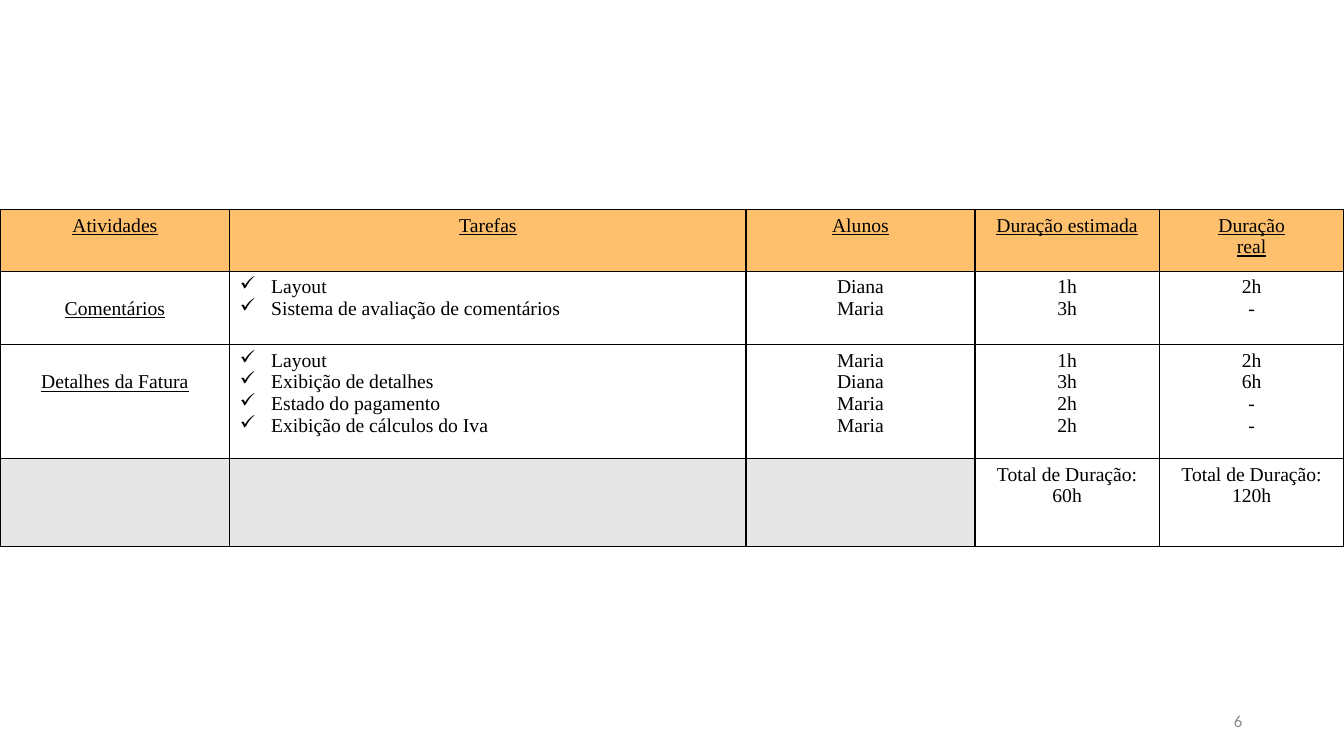
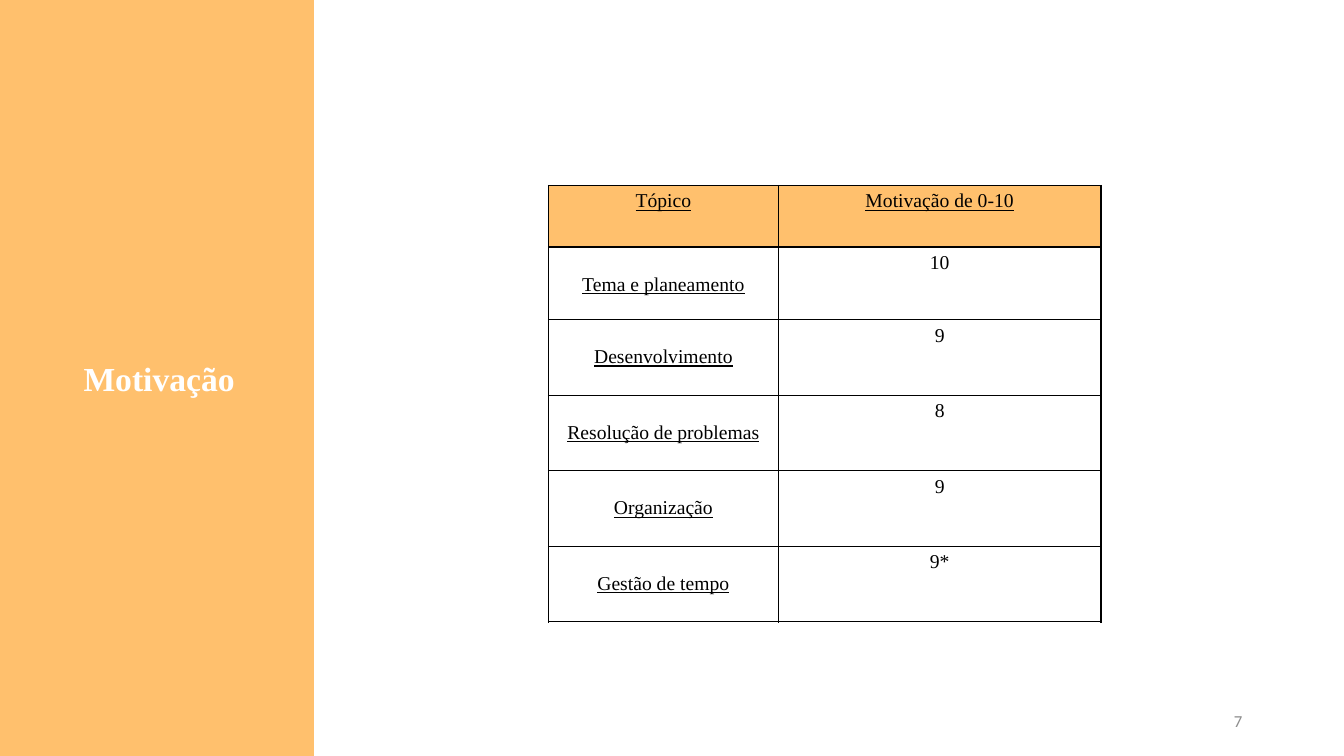
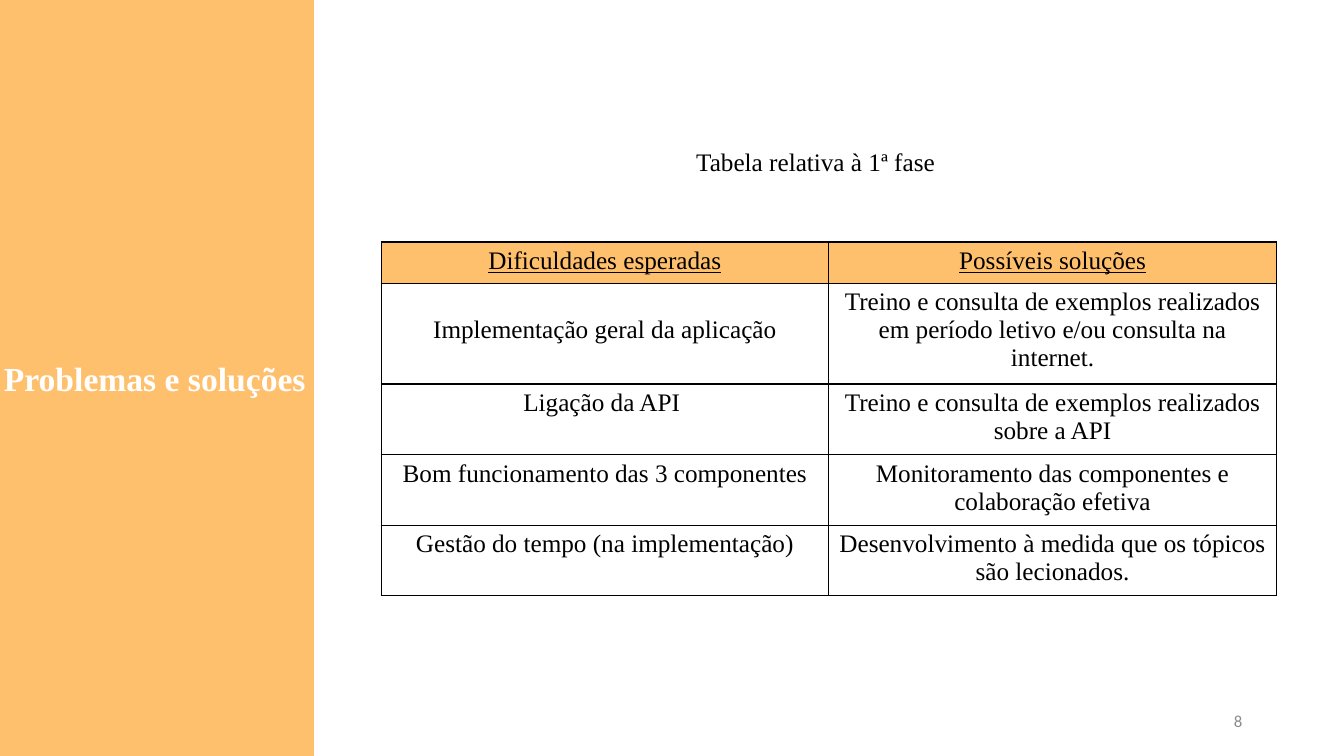
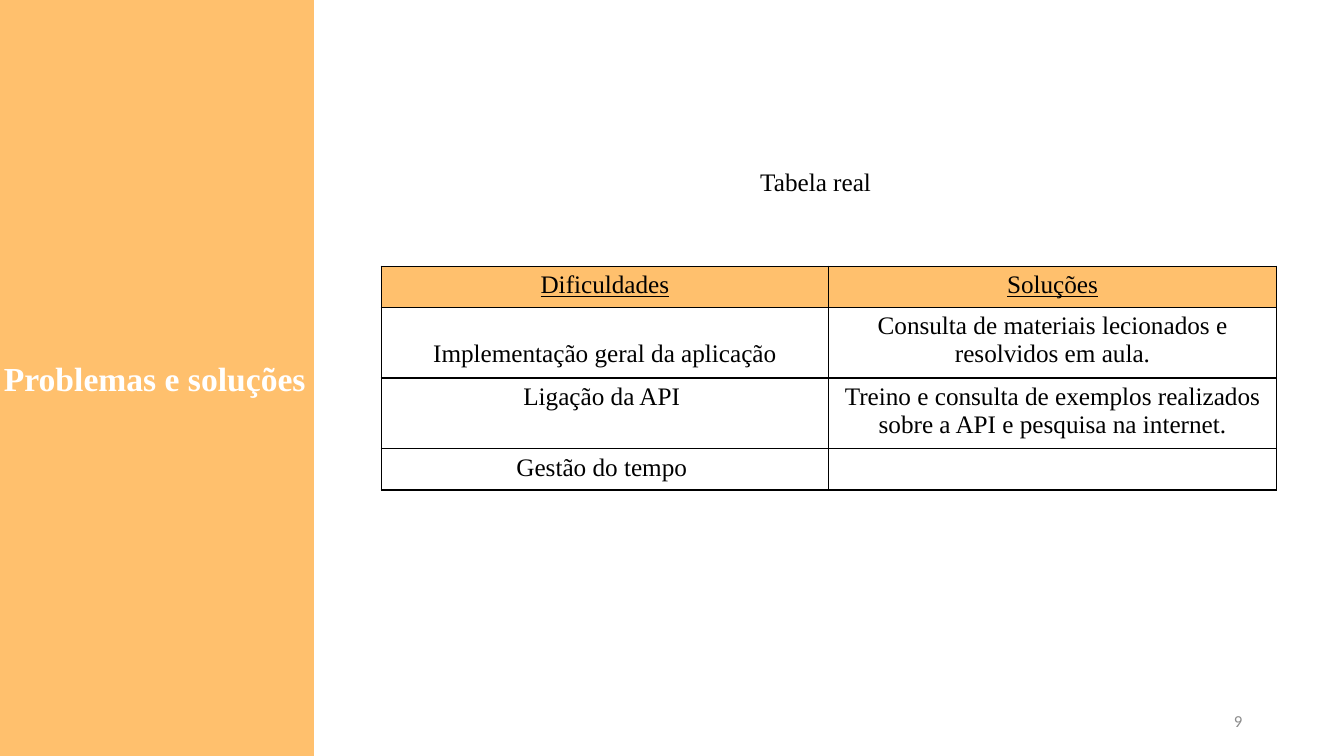
"""Builds four project slides on task planning, motivation, problems and solutions."""
from dataclasses import dataclass
from functools import partial

from lxml.etree import SubElement
from pptx import Presentation
from pptx.dml.color import RGBColor
from pptx.enum.shapes import MSO_SHAPE as Shape
from pptx.enum.text import MSO_ANCHOR as Anchor, MSO_AUTO_SIZE as AutoSize, PP_ALIGN as Align
from pptx.oxml.ns import qn
from pptx.util import Inches, Pt


@dataclass(frozen=True)
class Theme:
    accent: str = "FFC06D"
    ink: str = "000000"
    paper: str = "FFFFFF"
    unused: str = "E7E6E6"
    muted: str = "8C8C8C"
    serif: str = "Times New Roman"
    sans: str = "Calibri"
    title_size: int = 24
    large_size: int = 18
    table_size: int = 14
    number_size: int = 12
    line_height: float = 1.11
    border: int = 1
    cell_margin: float = 0.05
    bullet_indent: float = 0.31


@dataclass(frozen=True)
class Cell:
    text: str = ""
    fill: str = Theme.paper
    underline: bool = False
    lowered: bool = False
    bullet: str = ""


Header = partial(Cell, fill=Theme.accent, underline=True)
Topic = partial(Cell, underline=True, lowered=True)
Lowered = partial(Cell, lowered=True)
Tasks = partial(Cell, bullet="✓")
Unused = partial(Cell, fill=Theme.unused)


def set_all(target, values):
    for name, value in values.items():
        setattr(target, name, value)


class Deck:
    def __init__(self, theme, first_number):
        self.theme = theme
        self.number = first_number
        self.slide = None
        self.presentation = Presentation()
        set_all(self.presentation, {"slide_width": Inches(13.33), "slide_height": Inches(7.5)})

    def new_slide(self):
        self.slide = self.presentation.slides.add_slide(self.presentation.slide_layouts[6])
        self.text(str(self.number), (9.42, 6.95, 3, 0.4), self.theme.number_size,
                  frame={"vertical_anchor": Anchor.MIDDLE}, align=Align.RIGHT,
                  color=self.theme.muted, font=self.theme.sans)
        self.number += 1

    def style(self, font, size, color=None, name=None, **extra):
        set_all(font, {"size": Pt(size), "name": name or self.theme.serif, **extra})
        font.color.rgb = RGBColor.from_string(color or self.theme.ink)

    def text(self, words, place, size, frame, align=Align.LEFT, color=None, font=None, bold=False):
        box = self.slide.shapes.add_textbox(*map(Inches, place)).text_frame
        set_all(box, {"word_wrap": True, **frame})
        paragraph = box.paragraphs[0]
        paragraph.alignment = align
        run = paragraph.add_run()
        run.text = words
        self.style(run.font, size, color, font, bold=bold)

    def side_title(self, words, left, width):
        band = self.slide.shapes.add_shape(Shape.RECTANGLE, 0, 0, Inches(3.11), Inches(7.5))
        band.shadow.inherit = False
        band.line.width = Pt(1)
        for paint in (band.fill, band.line.fill):
            paint.solid()
            paint.fore_color.rgb = RGBColor.from_string(self.theme.accent)
        self.text(words, (left, 3.5, width, 0.5), self.theme.title_size,
                  frame={"word_wrap": False, "auto_size": AutoSize.SHAPE_TO_FIT_TEXT},
                  color=self.theme.paper, bold=True)

    def caption(self, words, top):
        self.text(words, (4.58, top, 7.02, 0.4), self.theme.large_size,
                  frame={"auto_size": AutoSize.SHAPE_TO_FIT_TEXT}, align=Align.CENTER)

    def table(self, left, top, widths, heights, rows, size):
        place = map(Inches, (left, top, sum(widths), sum(heights)))
        grid = self.slide.shapes.add_table(len(rows), len(widths), *place).table
        set_all(grid, {"first_row": False, "horz_banding": False})
        for column, width in zip(grid.columns, widths):
            column.width = Inches(width)
        for row, height, contents in zip(grid.rows, heights, rows):
            row.height = Inches(height)
            for target, content in zip(row.cells, contents):
                self.fill_cell(target, content, size)

    def fill_cell(self, target, content, size):
        self.outline(target)
        target.fill.solid()
        target.fill.fore_color.rgb = RGBColor.from_string(content.fill)
        drop = Pt(size * self.theme.line_height) if content.lowered else 0
        target.margin_top = Inches(self.theme.cell_margin) + drop
        if not content.text:
            return
        target.text = content.text
        for paragraph in target.text_frame.paragraphs:
            paragraph.alignment = Align.LEFT if content.bullet else Align.CENTER
            self.style(paragraph.runs[0].font, size, underline=content.underline)
            if content.bullet:
                self.add_bullet(paragraph, content.bullet)

    def outline(self, target):
        properties = target._tc.get_or_add_tcPr()
        for side in ("a:lnL", "a:lnR", "a:lnT", "a:lnB"):
            edge = SubElement(properties, qn(side), w=str(Pt(self.theme.border)))
            paint = SubElement(edge, qn("a:solidFill"))
            SubElement(paint, qn("a:srgbClr"), val=self.theme.ink)

    def add_bullet(self, paragraph, mark):
        properties = paragraph._p.get_or_add_pPr()
        indent = Inches(self.theme.bullet_indent)
        properties.set("marL", str(indent))
        properties.set("indent", str(-indent))
        SubElement(properties, qn("a:buChar"), char=mark)


def main():
    theme = Theme()
    deck = Deck(theme, first_number=6)

    deck.new_slide()
    deck.table(0, 2.08, (2.28, 5.12, 2.27, 1.83, 1.83), (0.61, 0.73, 1.13, 0.87), [
        [Header(name) for name in
         ("Atividades", "Tarefas", "Alunos", "Duração estimada", "Duração\nreal")],
        [Topic("Comentários"), Tasks("Layout\nSistema de avaliação de comentários"),
         Cell("Diana\nMaria"), Cell("1h\n3h"), Cell("2h\n-")],
        [Topic("Detalhes da Fatura"),
         Tasks("Layout\nExibição de detalhes\nEstado do pagamento\nExibição de cálculos do Iva"),
         Cell("Maria\nDiana\nMaria\nMaria"), Cell("1h\n3h\n2h\n2h"), Cell("2h\n6h\n-\n-")],
        [Unused(), Unused(), Unused(),
         Cell("Total de Duração: 60h"), Cell("Total de Duração:\n120h")],
    ], theme.table_size)

    deck.new_slide()
    deck.side_title("Motivação", 0.73, 1.71)
    scores = {"Tema e planeamento": "10", "Desenvolvimento": "9", "Resolução de problemas": "8",
              "Organização": "9", "Gestão de tempo": "9*"}
    deck.table(5.44, 1.84, (2.28, 3.2), (0.61, 0.72, *[0.75] * 4), [
        [Header("Tópico"), Header("Motivação de 0-10")],
        *[[Topic(topic), Cell(score)] for topic, score in scores.items()],
    ], theme.table_size)

    phases = [
        ("Tabela relativa à 1ª fase", 1.4, 2.4, (0.41, 1, 0.7, 0.7, 0.7), [
            [Header("Dificuldades esperadas"), Header("Possíveis soluções")],
            [Lowered("Implementação geral da aplicação"),
             Cell("Treino e consulta de exemplos realizados em período letivo e/ou "
                  "consulta na internet.")],
            [Cell("Ligação da API "),
             Cell("Treino e consulta de exemplos realizados sobre a API")],
            [Cell("Bom funcionamento das 3 componentes"),
             Cell("Monitoramento das componentes e colaboração efetiva")],
            [Cell("Gestão do tempo (na implementação)"),
             Cell("Desenvolvimento à medida que os tópicos são lecionados.")],
        ]),
        ("Tabela real", 1.6, 2.64, (0.41, 0.7, 0.7, 0.41), [
            [Header("Dificuldades"), Header("Soluções")],
            [Lowered("Implementação geral da aplicação"),
             Cell("Consulta de materiais lecionados e resolvidos em aula.")],
            [Cell("Ligação da API "),
             Cell("Treino e consulta de exemplos realizados sobre a API e pesquisa na internet.")],
            [Cell("Gestão do tempo "), Cell()],
        ]),
    ]
    for caption, caption_top, table_top, heights, rows in phases:
        deck.new_slide()
        deck.side_title("Problemas e soluções", -0.06, 3.22)
        deck.table(3.78, table_top, (4.44, 4.44), heights, rows, theme.large_size)
        deck.caption(caption, caption_top)

    deck.presentation.save("out.pptx")


if __name__ == "__main__":
    main()
